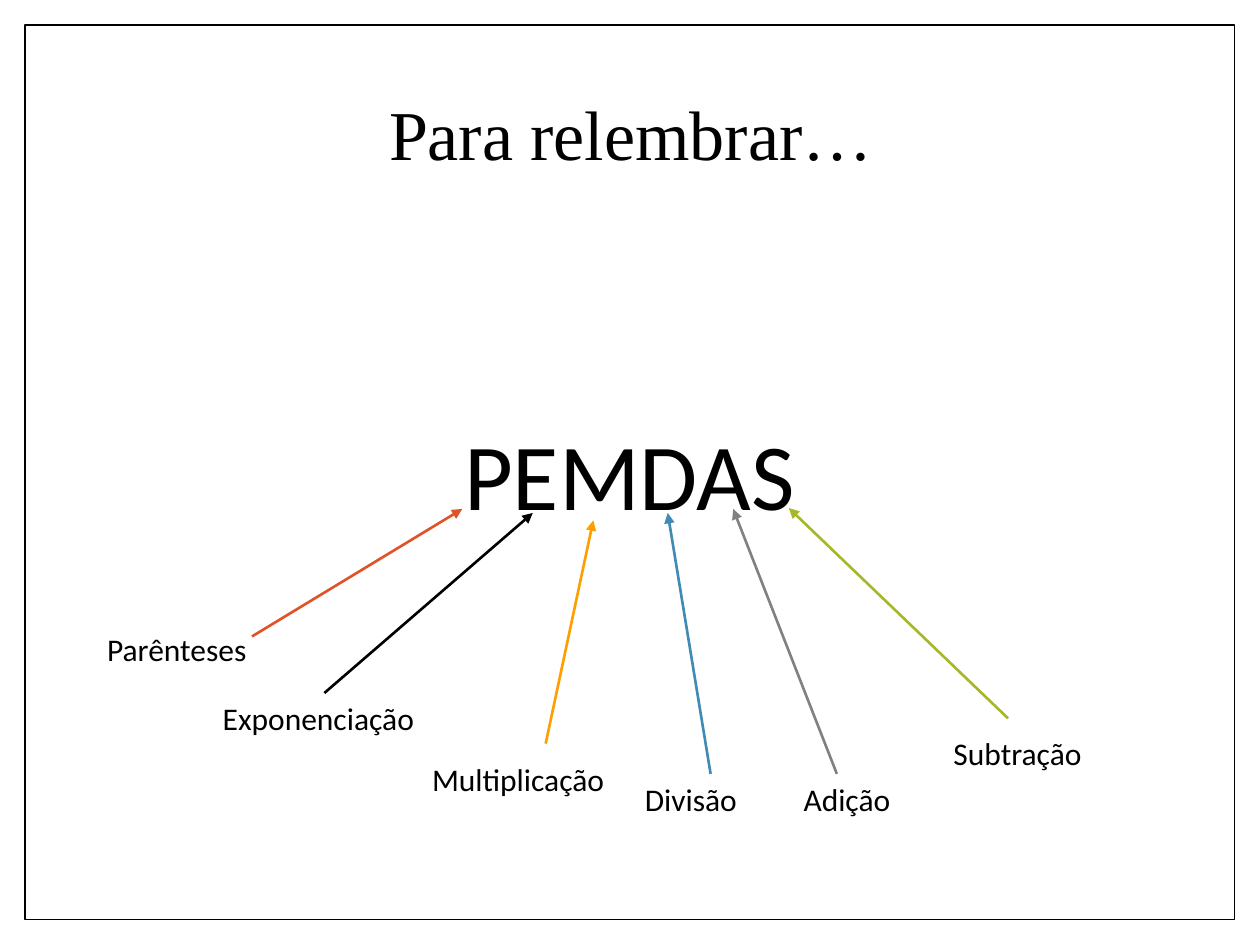
"""Build the PEMDAS reminder slide with one arrow per operation."""
import pptx
import pptx.dml.color
import pptx.enum.shapes
import pptx.enum.text
import pptx.oxml
import pptx.oxml.ns
import pptx.util
from pptx.util import Cm

BLACK = "000000"
ALIGN = pptx.enum.text.PP_ALIGN
TITLE = ("Para relembrar…", (2.34, 1.7, 20.75, 1.96))
ACRONYM = ("PEMDAS", (9.07, 8.26, 7.24, 2.57))
LABEL_HEIGHT = 1.02
TOP_SIDE = 0

# label, left, top, width, arrow start (None joins the label's top), arrow tip, colour
OPERATIONS = [
    ("Parênteses", 1.91, 12.57, 3.61, (5.08, 12.83), (9.32, 10.26), "DF5327"),
    ("Exponenciação", 4.24, 13.97, 4.6, None, (10.74, 10.34), BLACK),
    ("Multiplicação", 8.46, 15.19, 4.24, (11, 14.99), (11.96, 10.49), "FE9E00"),
    ("Divisão", 12.75, 15.6, 3.15, None, (13.46, 10.34), "418AB3"),
    ("Adição", 15.95, 15.6, 3.48, (16.87, 15.6), (14.78, 10.26), "818183"),
    ("Subtração", 18.97, 14.68, 3.66, (20.32, 14.48), (15.9, 10.24), "A6B727"),
]


def rgb(value):
    return pptx.dml.color.RGBColor.from_string(value)


def add_text(s, text, box, size, font="Calibri", align=ALIGN.LEFT, wrap=True):
    sp = s.shapes.add_textbox(*map(Cm, box))
    tf = sp.text_frame
    frame = {"word_wrap": wrap, "auto_size": pptx.enum.text.MSO_AUTO_SIZE.SHAPE_TO_FIT_TEXT}
    for name, value in frame.items():
        setattr(tf, name, value)
    p = tf.paragraphs[0]
    p.alignment = align
    r = p.add_run()
    r.text = text
    for name, value in {"name": font, "size": pptx.util.Pt(size)}.items():
        setattr(r.font, name, value)
    r.font.color.rgb = rgb(BLACK)
    return sp


def add_arrow(s, start, tip, color, label):
    ends = (start or (0, 0)) + tip
    c = s.shapes.add_connector(pptx.enum.shapes.MSO_CONNECTOR.STRAIGHT, *map(Cm, ends))
    if start is None:
        c.begin_connect(label, TOP_SIDE)
    c.line.color.rgb = rgb(color)
    c.line.width = pptx.util.Pt(1.5)
    ns = pptx.oxml.ns.nsdecls("a")
    c.line._get_or_add_ln().append(pptx.oxml.parse_xml(f'<a:tailEnd {ns} type="triangle"/>'))
    c._element.spPr.append(pptx.oxml.parse_xml(f"<a:effectLst {ns}/>"))


def main():
    prs = pptx.Presentation()
    for name, value in {"slide_width": Cm(25.4), "slide_height": Cm(19.05)}.items():
        setattr(prs, name, value)
    s = prs.slides.add_slide(prs.slide_layouts[6])

    border = s.shapes.add_shape(pptx.enum.shapes.MSO_SHAPE.RECTANGLE,
                                *map(Cm, (0.51, 0.51, 24.38, 18.03)))
    border.shadow.inherit = False
    border.fill.solid()
    border.fill.fore_color.rgb = rgb("FFFFFF")
    border.line.color.rgb = rgb(BLACK)
    border.line.width = pptx.util.Pt(1)

    add_text(s, *TITLE, 40, font="Times New Roman", align=ALIGN.CENTER)
    add_text(s, *ACRONYM, 54, align=ALIGN.CENTER, wrap=False)
    for text, left, top, width, start, tip, color in OPERATIONS:
        label = add_text(s, text, (left, top, width, LABEL_HEIGHT), 18)
        add_arrow(s, start, tip, color, label)
    prs.save("out.pptx")


if __name__ == "__main__":
    main()
